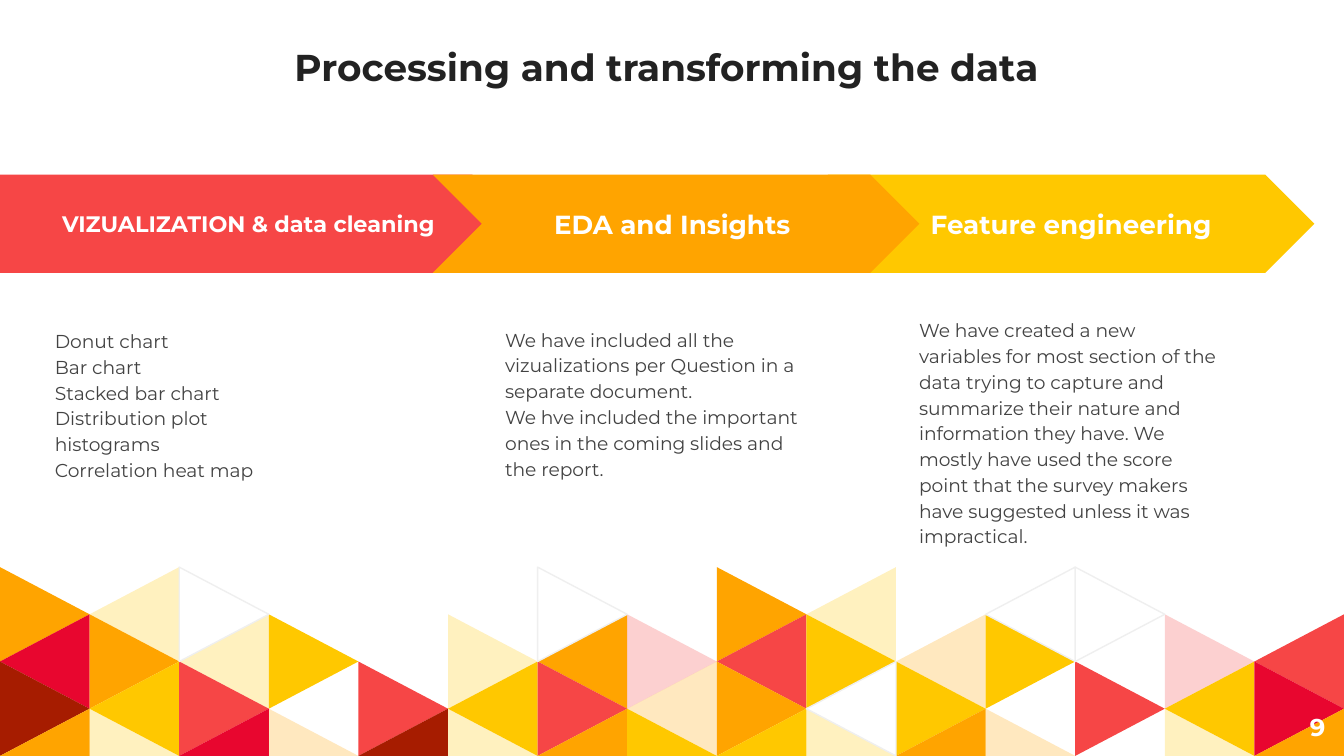
from lxml import etree
from pptx import Presentation
from pptx.dml.color import RGBColor
from pptx.enum.shapes import MSO_SHAPE
from pptx.enum.text import MSO_ANCHOR, PP_ALIGN
from pptx.oxml.ns import qn
from pptx.util import Inches, Pt


def color(hex_string):
    return RGBColor.from_string(hex_string)


def write(shape, lines, size, hex_string, bold=False, align=PP_ALIGN.LEFT,
          anchor=MSO_ANCHOR.TOP, spacing=1.0):
    frame = shape.text_frame
    frame.word_wrap = True
    frame.vertical_anchor = anchor
    frame.margin_left = frame.margin_right = Inches(0.1)
    frame.margin_top = frame.margin_bottom = Inches(0.1)
    frame.text = "\n".join(lines)
    for paragraph in frame.paragraphs:
        paragraph.alignment = align
        paragraph.line_spacing = spacing
        paragraph.font.name = "Montserrat"
        paragraph.font.size = Pt(size)
        paragraph.font.bold = bold
        paragraph.font.color.rgb = color(hex_string)


# Slide in 16:9
slide_width = 10
slide_height = slide_width * 9 / 16
prs = Presentation()
prs.slide_width, prs.slide_height = Inches(slide_width), Inches(slide_height)
slide = prs.slides.add_slide(prs.slide_layouts[6])
shapes = slide.shapes

# Triangle mosaic: one letter per cell, capitals are 25 % tints, w is outlined
mosaic = [
    "oYw...w.oY.ww..",
    "coYy.YoRryOy.Rr",
    "dyr.ryrOowy.ryc",
    "oYcOdYoyyYoO.Yo",
]
palette = {"o": "FFA400", "y": "FFC800", "r": "F64646",
           "c": "E8062F", "d": "A61C00", "w": "FFFFFF"}
cells = [(row, column, letter) for row, letters in enumerate(mosaic)
         for column, letter in enumerate(letters) if letter != "."]
cells.sort(key=lambda cell: cell[2] == "w")  # outlined ones in front
mosaic_top = 4.22
half = (slide_height - mosaic_top) / len(mosaic)
width = slide_width / len(mosaic[0])

for row, column, letter in cells:
    top = mosaic_top + row * half
    base, tip = column * width, (column + 1) * width
    if (row + column) % 2:  # odd cells point left
        base, tip = tip, base
    if row == 3:  # cut off by the slide's lower edge
        corners = [(base, top + half), (tip, top + half)]
    else:
        corners = [(base, top + 2 * half), (tip, top + half)]
    builder = shapes.build_freeform(Inches(base), Inches(top))
    builder.add_line_segments([(Inches(x), Inches(y)) for x, y in corners])
    triangle = builder.convert_to_shape()
    triangle.shadow.inherit = False
    triangle.fill.solid()
    triangle.fill.fore_color.rgb = color(palette[letter.lower()])
    if letter == "w":
        triangle.line.color.rgb = color("EFEFEF")
        triangle.line.width = Pt(0.75)
    else:
        triangle.line.fill.background()
    if letter.isupper():
        fill_color = triangle.fill._xPr.find(qn("a:solidFill"))[0]
        etree.SubElement(fill_color, qn("a:alpha")).set("val", "25000")

# Title
title = shapes.add_textbox(0, 0, Inches(slide_width), Inches(0.76))
write(title, ["Processing and transforming the data "], 20, "222222", True,
      PP_ALIGN.CENTER, MSO_ANCHOR.BOTTOM)

# Slide number
number = shapes.add_textbox(Inches(9.36), Inches(5.19), Inches(0.6), Inches(0.43))
write(number, ["9"], 13, "FFFFFF", True, PP_ALIGN.RIGHT, MSO_ANCHOR.MIDDLE)

# Process arrows, from back to front
steps = [
    (MSO_SHAPE.CHEVRON, 6.16, 3.62, "FFC800", "Feature engineering", 14),
    (MSO_SHAPE.PENTAGON, 0, 3.88, "F64646", "VIZUALIZATION & data cleaning", 12),
    (MSO_SHAPE.CHEVRON, 3.22, 3.62, "FFA400", "EDA and Insights ", 14),
]
for kind, left, length, fill, label, size in steps:
    step = shapes.add_shape(kind, Inches(left), Inches(1.3), Inches(length), Inches(0.73))
    step.adjustments[0] = 0.5
    step.shadow.inherit = False
    step.fill.solid()
    step.fill.fore_color.rgb = color(fill)
    step.line.fill.background()
    write(step, [label], size, "FFFFFF", True, PP_ALIGN.CENTER, MSO_ANCHOR.MIDDLE)

# Descriptions below the arrows
descriptions = [
    (0.31, 2.33, ["Donut chart", "Bar chart", "Stacked bar chart",
                  "Distribution plot", "histograms", "Correlation heat map"]),
    (3.66, 2.32, ["We have included all the vizualizations per Question in a "
                  "separate document.",
                  "We hve included the important ones in the coming slides "
                  "and the report."]),
    (6.74, 2.25, ["We have created a new variables for most section of the data "
                  "trying to capture and summarize their nature and information "
                  "they have. We mostly have used the score point that the survey "
                  "makers have suggested unless it was impractical."]),
]
for left, top, lines in descriptions:
    description = shapes.add_textbox(Inches(left), Inches(top), Inches(2.45), Inches(2.86))
    write(description, lines, 10, "434343", spacing=1.15)

prs.save("out.pptx")
